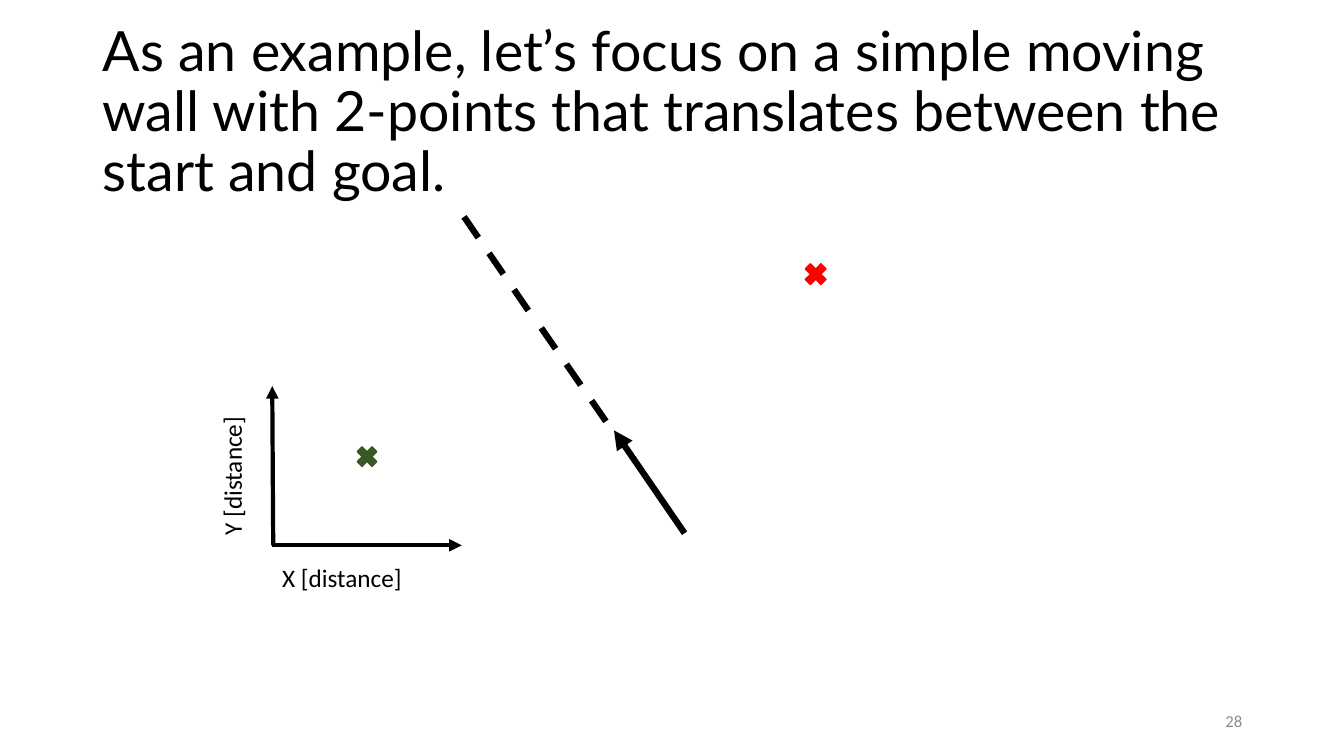
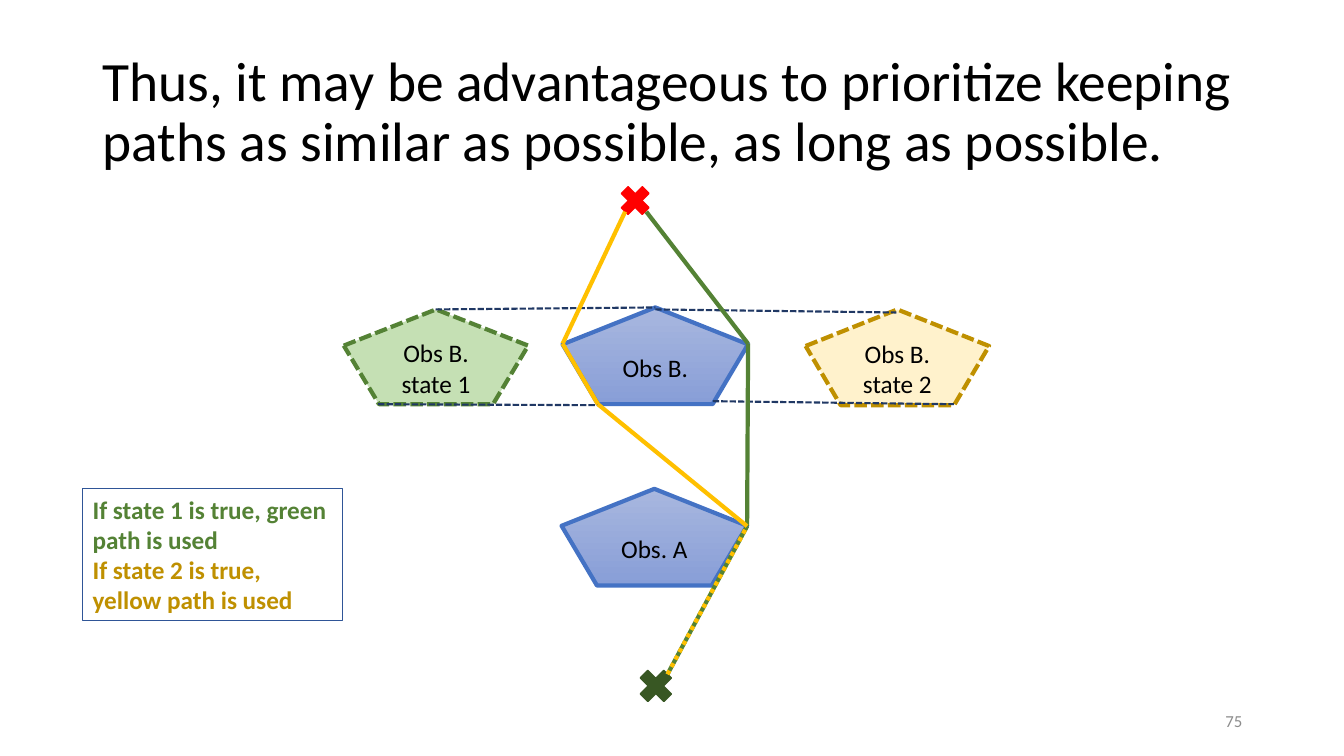
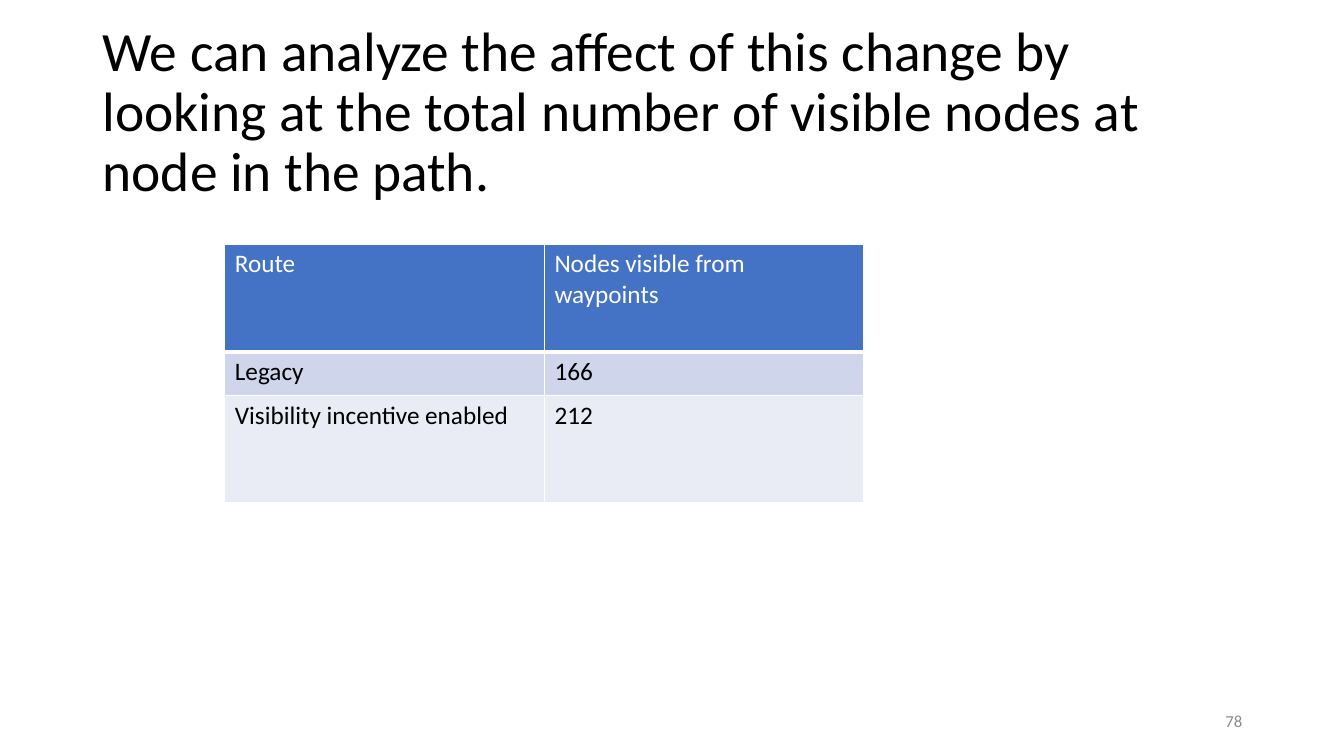
from dataclasses import dataclass
from itertools import pairwise
from typing import Any, Optional

from lxml import etree
from pptx import Presentation
from pptx import util as u
from pptx.dml.color import RGBColor
from pptx.enum import dml, shapes, text
from pptx.oxml import ns

PX = 9144  # EMU in one px, 100 px to the inch
FONT = "Calibri"
HUES = {
    "black": "000000", "white": "FFFFFF", "gray": "8C8C8C",
    "red": "FF0000", "pine": "385723", "green": "548235",
    "mint": "C5E0B4", "yellow": "FFC000", "ochre": "BF9000",
    "cream": "FFF2CC", "blue": "4472C4", "navy": "203864",
    "steel": "2F5597", "light": "A8B7DF", "deep": "889ED7",
    "band": "CFD5EA", "pale": "E9EBF5",
}
KINDS = shapes.MSO_SHAPE
DASH = dml.MSO_LINE.DASH
SHORT = dml.MSO_LINE.SQUARE_DOT
DOT = dml.MSO_LINE.ROUND_DOT
LEFT, MID, RIGHT = text.PP_ALIGN.LEFT, text.PP_ALIGN.CENTER, text.PP_ALIGN.RIGHT
TOP, CENTER = text.MSO_ANCHOR.TOP, text.MSO_ANCHOR.MIDDLE


@dataclass
class Box:
    x: int
    y: int
    w: int
    h: int

    def emu(self) -> list[int]:
        return [n * PX for n in (self.x, self.y, self.w, self.h)]


@dataclass
class Type:
    size: float = 18
    hue: str = "black"
    font: str = FONT
    bold: bool = False
    align: Any = LEFT
    anchor: Any = TOP
    space: Optional[float] = None


@dataclass
class Pen:
    hue: str = "black"
    width: float = 3
    dash: Any = None
    arrow: bool = False


@dataclass
class Block:
    words: str
    box: Box
    fill: tuple[str, ...]
    pen: Pen


@dataclass
class Trail:
    points: list[tuple[int, int]]
    pen: Pen


@dataclass
class Cross:
    box: Box
    hue: str


# Basic parts
def tint(name: str) -> RGBColor:
    return RGBColor.from_string(HUES[name])


def style(par: Any, look: Type) -> None:
    par.alignment = look.align
    if look.space:
        par.line_spacing = look.space
    for run in par.runs:
        font = run.font
        font.name, font.size, font.bold = look.font, u.Pt(look.size), look.bold
        font.color.rgb = tint(look.hue)


def write(frame: Any, words: str, look: Type) -> None:
    frame.word_wrap = True
    frame.vertical_anchor = look.anchor
    frame.text = words
    for par in frame.paragraphs:
        style(par, look)


def label(slide: Any, words: str, box: Box, look: Type, turn: int = 0) -> None:
    shape = slide.shapes.add_textbox(*box.emu())
    shape.rotation = turn
    write(shape.text_frame, words, look)


def ink(line: Any, pen: Pen) -> None:
    line.color.rgb = tint(pen.hue)
    line.width = u.Pt(pen.width)
    if pen.dash:
        line.dash_style = pen.dash


def form(slide: Any, kind: Any, box: Box, fill: tuple[str, ...], pen: Pen) -> Any:
    shape = slide.shapes.add_shape(kind, *box.emu())
    shape.shadow.inherit = False
    if not fill:
        shape.fill.background()
    elif len(fill) == 1:
        shape.fill.solid()
        shape.fill.fore_color.rgb = tint(fill[0])
    else:
        shape.fill.gradient()
        shape.fill.gradient_angle = 270
        for stop, hue, place in zip(shape.fill.gradient_stops, fill, (0, 1)):
            stop.color.rgb = tint(hue)
            stop.position = place
    ink(shape.line, pen)
    return shape


def mark(slide: Any, cross: Cross) -> None:
    form(slide, KINDS.MATH_MULTIPLY, cross.box, (cross.hue,), Pen(cross.hue, 1))


def draw(slide: Any, trail: Trail) -> None:
    for start, end in pairwise(trail.points):
        ends = [n * PX for n in (*start, *end)]
        line = slide.shapes.add_connector(shapes.MSO_CONNECTOR.STRAIGHT, *ends)
        ink(line.line, trail.pen)
        if trail.pen.arrow:
            tail = etree.SubElement(line.line._get_or_add_ln(), ns.qn("a:tailEnd"))
            tail.set("type", "triangle")
        etree.SubElement(line._element.spPr, ns.qn("a:effectLst"))


def edge(cell: Any, low: float) -> None:
    props = cell._tc.get_or_add_tcPr()
    for side, width in (("L", 1), ("R", 1), ("T", 1), ("B", low)):
        line = etree.SubElement(props, ns.qn(f"a:ln{side}"), w=str(u.Pt(width)))
        fill = etree.SubElement(line, ns.qn("a:solidFill"))
        etree.SubElement(fill, ns.qn("a:srgbClr"), val=HUES["white"])


# Shared title and page number
def page(deck: Any, title: str, number: int, font: str = FONT) -> Any:
    slide = deck.slides.add_slide(deck.slide_layouts[6])
    head = Type(39.6, font=font, anchor=CENTER, space=0.9)
    label(slide, title, Box(92, 40, 1150, 145), head)
    foot = Type(12, "gray", align=RIGHT, anchor=CENTER)
    label(slide, str(number), Box(942, 695, 300, 40), foot)
    return slide


# Moving wall
def wall(deck: Any) -> None:
    slide = page(deck, "As an example, let’s focus on a simple moving wall with "
                 "2-points that translates between the start and goal.", 28, "Lato")
    mark(slide, Cross(Box(794, 257, 30, 30), "red"))
    mark(slide, Cross(Box(350, 439, 28, 28), "pine"))
    axis = Pen(arrow=True)
    dash = Pen(width=4.5, dash=DASH)
    for trail in (
        Trail([(271, 541), (270, 383)], axis),
        Trail([(270, 541), (458, 541)], axis),
        Trail([(524, 308), (454, 206)], dash),
        Trail([(601, 418), (531, 317)], dash),
        Trail([(679, 529), (609, 427)], Pen(width=4.5, arrow=True)),
    ):
        draw(slide, trail)
    label(slide, "X [distance]", Box(270, 553, 142, 40), Type())
    label(slide, "Y [distance]", Box(159, 450, 142, 40), Type(), 270)


# Paths around two obstacles
def paths(deck: Any) -> None:
    slide = page(deck, "Thus, it may be advantageous to prioritize keeping paths "
                 "as similar as possible, as long as possible.", 75)
    shade = ("light", "deep")
    for block in (
        Block("Obs B.", Box(558, 305, 184, 96), shade, Pen("blue")),
        Block("Obs B. state 2", Box(799, 307, 182, 95), ("cream",),
              Pen("ochre", dash=SHORT)),
        Block("Obs B. state 1", Box(341, 307, 183, 94), ("mint",),
              Pen("green", dash=SHORT)),
        Block("Obs. A", Box(557, 485, 184, 96), shade, Pen("blue")),
    ):
        shape = form(slide, KINDS.REGULAR_PENTAGON, block.box, block.fill, block.pen)
        write(shape.text_frame, block.words, Type(align=MID, anchor=CENTER))

    mark(slide, Cross(Box(610, 179, 40, 40), "red"))
    mark(slide, Cross(Box(628, 658, 45, 45), "pine"))

    rail = Pen("navy", 1.5, SHORT)
    start, turn = (662, 669), (741, 522)
    for trail in (
        Trail([(707, 398), (946, 401)], rail),
        Trail([(432, 307), (650, 305)], rail),
        Trail([(650, 307), (889, 310)], rail),
        Trail([(375, 401), (593, 402)], rail),
        Trail([start, turn, (742, 341), (641, 210)], Pen("green")),
        Trail([start, turn], Pen("yellow", dash=DOT)),
        Trail([turn, (593, 401), (558, 341), (620, 210)], Pen("yellow")),
    ):
        draw(slide, trail)

    key = form(slide, KINDS.RECTANGLE, Box(82, 485, 258, 131), (), Pen("steel", 0.75))
    write(key.text_frame, "If state 1 is true, green path is used\n"
          "If state 2 is true, yellow path is used", Type())
    for par, hue in zip(key.text_frame.paragraphs, ("green", "ochre")):
        style(par, Type(hue=hue, bold=True))


# Table of visible nodes
def nodes(deck: Any) -> None:
    slide = page(deck, "We can analyze the affect of this change by looking at the "
                 "total number of visible nodes at node in the path.", 78)
    rows = (
        (107, "blue", "white", 3, ("Route", "Nodes visible from waypoints")),
        (43, "band", "black", 1, ("Legacy", "166")),
        (107, "pale", "black", 1, ("Visibility incentive enabled", "212")),
    )
    box = Box(223, 242, 634, sum(row[0] for row in rows))
    table = slide.shapes.add_table(len(rows), 2, *box.emu()).table
    table.first_row = table.horz_banding = False
    for line, (high, fill, hue, low, words) in zip(table.rows, rows):
        line.height = high * PX
        for cell, word in zip(line.cells, words):
            edge(cell, low)
            cell.fill.solid()
            cell.fill.fore_color.rgb = tint(fill)
            write(cell.text_frame, word, Type(hue=hue))


def main() -> None:
    deck = Presentation()
    deck.slide_width, deck.slide_height = 1333 * PX, 750 * PX
    wall(deck)
    paths(deck)
    nodes(deck)
    deck.save("out.pptx")


if __name__ == "__main__":
    main()
